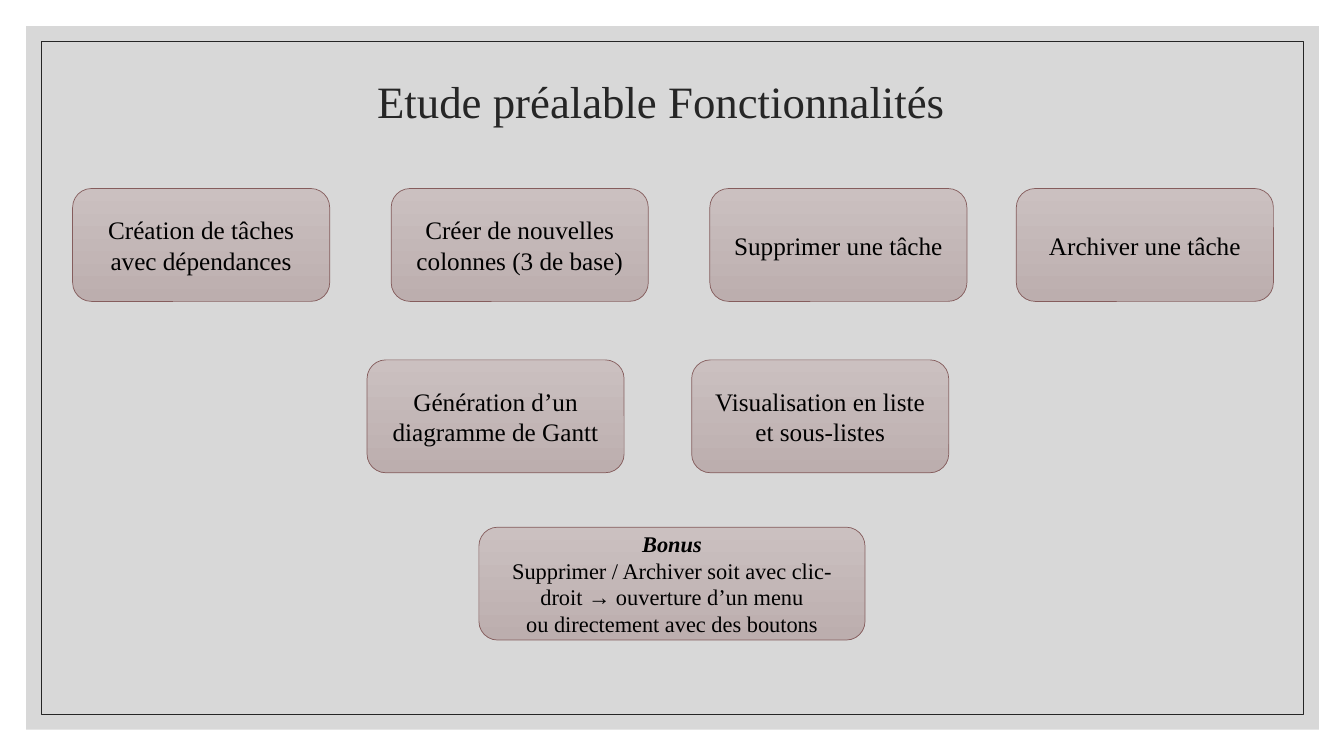
from lxml import etree
from pptx import Presentation
from pptx import util as u
from pptx.dml.color import RGBColor
from pptx.enum import shapes, text
from pptx.oxml.ns import qn

GREY = RGBColor(0xBF, 0xBF, 0xBF)
DARK = RGBColor(0x26, 0x26, 0x26)
BLACK = RGBColor(0, 0, 0)
BROWN = RGBColor(0x85, 0x5D, 0x5D)
ROSE_LIGHT = RGBColor(0xCB, 0xC0, 0xC0)
ROSE_DARK = RGBColor(0xBC, 0xAE, 0xAE)

CARD_W, CARD_H = 2.55, 1.12


class Deck:
    font = "Times New Roman"

    def __init__(self, prs):
        self.slide = prs.slides.add_slide(prs.slide_layouts[5])

    def shape(self, kind, box):
        sp = self.slide.shapes.add_shape(kind, *map(u.Inches, box))
        sp.shadow.inherit = False
        return sp

    def outline(self, sp, color):
        sp.line.color.rgb = color
        sp.line.width = u.Pt(0.5)

    def add_text(self, p, words, color, **fmt):
        r = p.add_run()
        r.text = words
        r.font.color.rgb = color
        for name, value in {"name": self.font, **fmt}.items():
            setattr(r.font, name, value)

    def panel(self, box):
        sp = self.shape(shapes.MSO_SHAPE.RECTANGLE, box)
        sp.fill.solid()
        sp.fill.fore_color.rgb = GREY
        sp.line.fill.background()
        color = sp._element.spPr.find(qn("a:solidFill")).find(qn("a:srgbClr"))
        etree.SubElement(color, qn("a:alpha"), val="60000")

    def frame(self, box):
        sp = self.shape(shapes.MSO_SHAPE.RECTANGLE, box)
        sp.fill.background()
        self.outline(sp, DARK)

    def title(self, words, box):
        sp = self.slide.shapes.title
        sp._element.getparent().append(sp._element)
        for name, value in zip(("left", "top", "width", "height"), box):
            setattr(sp, name, u.Inches(value))
        tf = sp.text_frame
        tf.auto_size = text.MSO_AUTO_SIZE.NONE
        tf.vertical_anchor = text.MSO_ANCHOR.MIDDLE
        p = tf.paragraphs[0]
        p.alignment = text.PP_ALIGN.LEFT
        p.line_spacing = 0.9
        self.add_text(p, words, DARK, size=u.Pt(32))

    def card(self, box, lines):
        sp = self.shape(shapes.MSO_SHAPE.ROUNDED_RECTANGLE, box)
        sp.fill.gradient()
        sp.fill.gradient_angle = 270
        for stop, color in zip(sp.fill.gradient_stops, (ROSE_LIGHT, ROSE_DARK)):
            stop.color.rgb = color
        self.outline(sp, BROWN)
        tf = sp.text_frame
        tf.word_wrap = True
        tf.vertical_anchor = text.MSO_ANCHOR.MIDDLE
        for i, (words, fmt) in enumerate(lines):
            p = tf.add_paragraph() if i else tf.paragraphs[0]
            p.alignment = text.PP_ALIGN.CENTER
            self.add_text(p, words, BLACK, **fmt)


def main():
    prs = Presentation()
    prs.slide_width, prs.slide_height = u.Inches(13.33), u.Inches(7.5)
    s = Deck(prs)
    s.panel((0.26, 0.26, 12.82, 6.98))
    s.frame((0.41, 0.41, 12.52, 6.68))
    s.title("Etude préalable Fonctionnalités", (3.64, 0.77, 6.73, 0.53))

    rows = [
        (1.87, [
            (0.72, "Création de tâches avec dépendances"),
            (3.88, "Créer de nouvelles colonnes (3 de base)"),
            (7.04, "Supprimer une tâche"),
            (10.08, "Archiver une tâche"),
        ]),
        (3.57, [
            (3.64, "Génération d’un diagramme de Gantt"),
            (6.86, "Visualisation en liste et sous-listes"),
        ]),
    ]
    for top, cards in rows:
        for left, words in cards:
            s.card((left, top, CARD_W, CARD_H), [(words, {"size": u.Pt(18)})])

    body = {"size": u.Pt(16)}
    s.card((4.75, 5.23, 3.83, CARD_H), [
        ("Bonus", {**body, "bold": True, "italic": True}),
        ("Supprimer / Archiver soit avec clic-droit → ouverture d’un menu", body),
        ("ou directement avec des boutons", body),
    ])
    prs.save("out.pptx")


if __name__ == "__main__":
    main()
